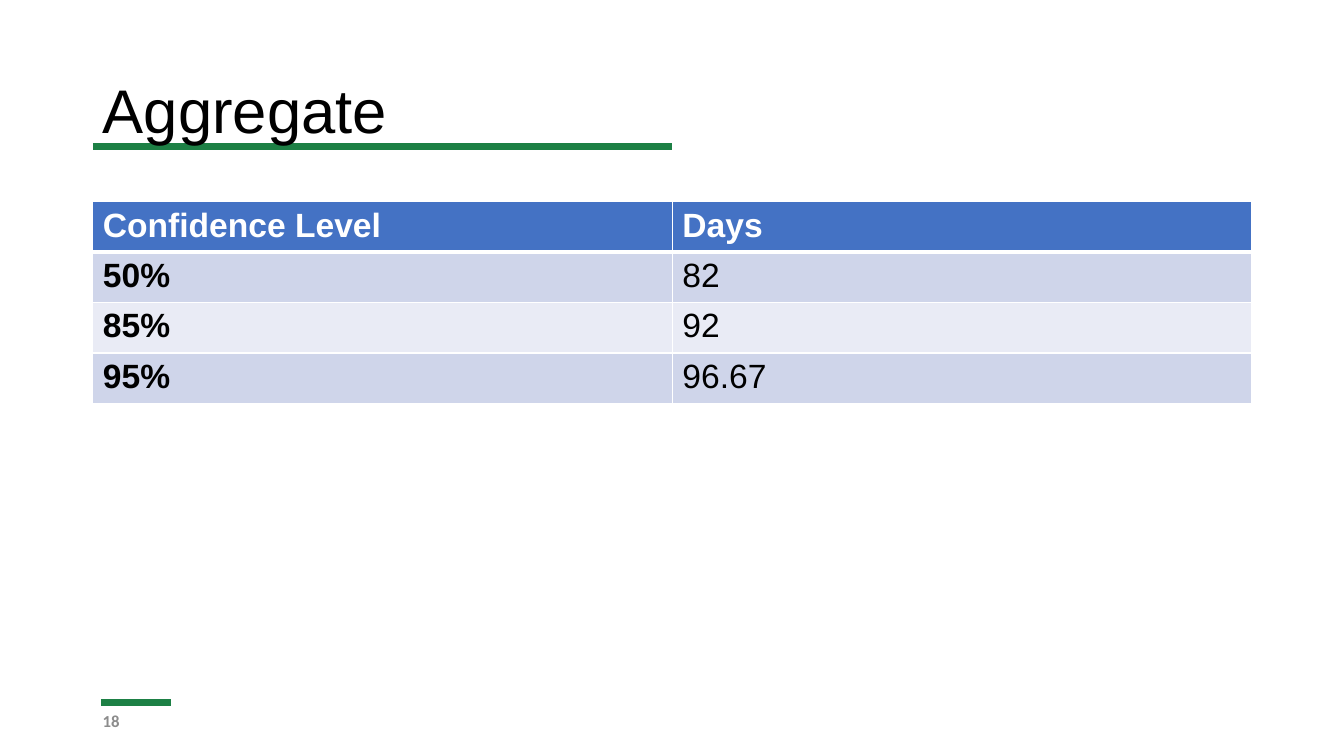
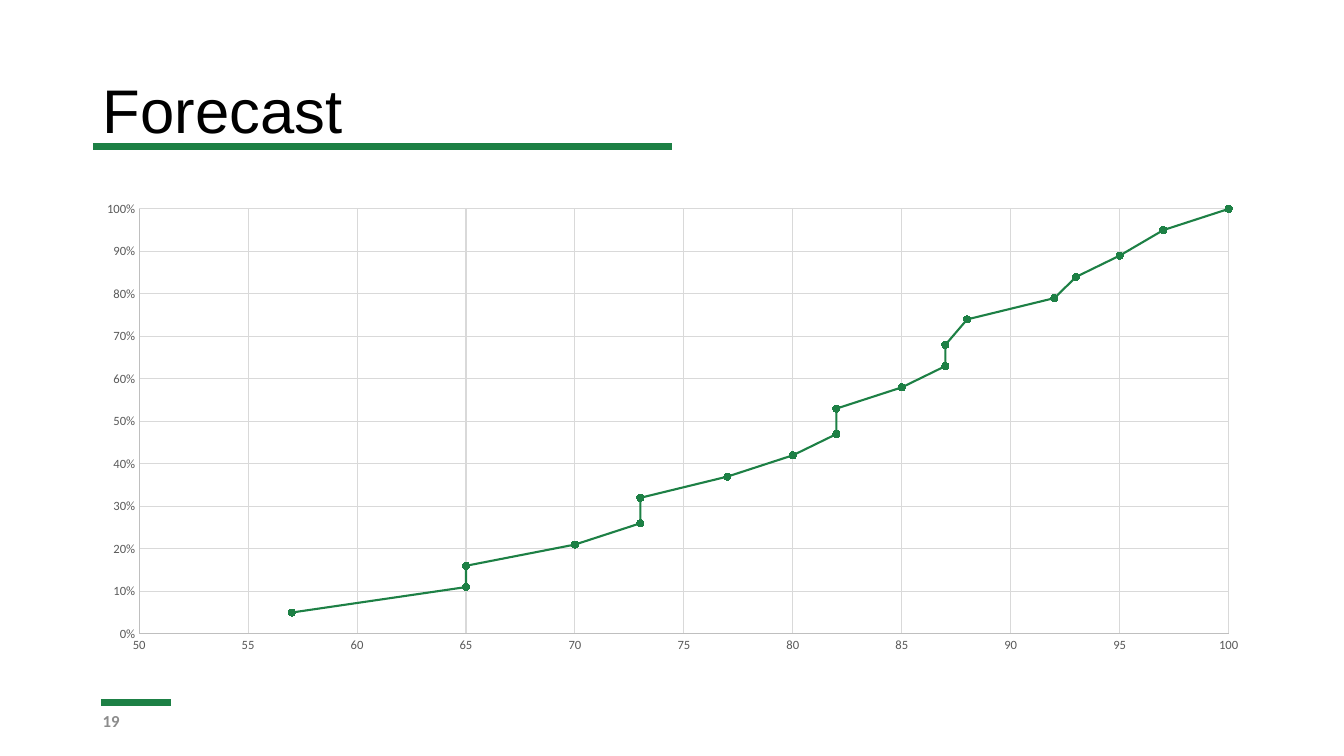
from lxml.etree import SubElement
from pptx import Presentation
from pptx.chart.data import XyChartData
from pptx.dml.color import RGBColor
from pptx.enum.chart import XL_CHART_TYPE, XL_MARKER_STYLE, XL_TICK_MARK
from pptx.enum.shapes import MSO_CONNECTOR
from pptx.enum.text import MSO_ANCHOR, MSO_AUTO_SIZE, PP_ALIGN
from pptx.oxml.ns import qn
from pptx.util import Cm, Pt

COLORS = {
    "accent": "1D8045", "text": "000000", "page": "8C8C8C", "white": "FFFFFF",
    "header": "4472C4", "band_dark": "CFD5EA", "band_light": "E9EBF5",
    "axis_text": "595959", "axis": "BFBFBF", "grid": "D9D9D9",
}
LEFT, WIDTH = 2.34, 29.21
TITLE_BOX = (LEFT, 1.02, WIDTH, 3.68)
PAGE_BOX = (LEFT, 17.65, 7.62, 1.02)
TABLE_BOX = (LEFT, 5.08, WIDTH, 4.16)
CHART_BOX = (LEFT, 4.09, WIDTH, 13.06)

LEVELS = [("Confidence Level", "Days"), ("50%", "82"), ("85%", "92"), ("95%", "96.67")]
DAYS = [57, 65, 65, 70, 73, 73, 77, 80, 82, 82, 85, 87, 87, 88, 92, 93, 95, 97, 100]


def rgb(name):
    return RGBColor.from_string(COLORS[name])


def cm_box(box):
    return [Cm(v) for v in box]


def style_font(font, size, color, name="Arial", bold=False):
    font.size, font.name, font.bold = Pt(size), name, bold
    font.color.rgb = rgb(color)


def add_run(p, text, *style, **options):
    r = p.add_run()
    r.text = text
    style_font(r.font, *style, **options)


def add_rule(s, x, y, length):
    """Accent line that lies behind the title."""
    line = s.shapes.add_connector(
        MSO_CONNECTOR.STRAIGHT, Cm(x), Cm(y), Cm(x + length), Cm(y))
    line.line.color.rgb = rgb("accent")
    line.line.width = Pt(5)
    SubElement(line.element.spPr, qn("a:effectLst"))
    s.shapes.title.element.addprevious(line.element)


def add_title(s, text, box):
    title = s.shapes.title
    title.left, title.top, title.width, title.height = cm_box(box)
    tf = title.text_frame
    tf.word_wrap = True
    tf.auto_size = MSO_AUTO_SIZE.NONE
    tf.vertical_anchor = MSO_ANCHOR.MIDDLE
    p = tf.paragraphs[0]
    p.alignment = PP_ALIGN.LEFT
    p.line_spacing = 0.9
    add_run(p, text, 44, "text")


def add_page_number(s, number, box):
    tf = s.shapes.add_textbox(*cm_box(box)).text_frame
    tf.word_wrap = True
    tf.vertical_anchor = MSO_ANCHOR.MIDDLE
    add_run(tf.paragraphs[0], str(number), 12, "page", name="Calibri", bold=True)


def add_slide(prs, title, number):
    s = prs.slides.add_slide(prs.slide_layouts[5])
    add_title(s, title, TITLE_BOX)
    add_rule(s, 2.54, 17.7, 1.78)
    add_rule(s, LEFT, 3.68, WIDTH / 2)
    add_page_number(s, number, PAGE_BOX)
    return s


def add_borders(cell, **widths):
    tc_pr = cell._tc.get_or_add_tcPr()
    for side, width in widths.items():
        ln = SubElement(tc_pr, qn(f"a:ln{side}"), w=str(Pt(width)))
        fill = SubElement(ln, qn("a:solidFill"))
        SubElement(fill, qn("a:srgbClr"), val=COLORS["white"])


def add_level_table(s, rows, box):
    table = s.shapes.add_table(len(rows), len(rows[0]), *cm_box(box)).table
    table.first_col = True
    for i, row in enumerate(rows):
        is_header = i == 0
        fill = "header" if is_header else "band_dark" if i % 2 else "band_light"
        for j, text in enumerate(row):
            cell = table.cell(i, j)
            add_borders(cell, L=1, R=1, T=3 if i == 1 else 1, B=3 if is_header else 1)
            cell.fill.solid()
            cell.fill.fore_color.rgb = rgb(fill)
            add_run(cell.text_frame.paragraphs[0], text, 24,
                    "white" if is_header else "text", bold=is_header or j == 0)


def style_axis(axis, low, high, step, number_format):
    axis.minimum_scale, axis.maximum_scale, axis.major_unit = low, high, step
    axis.major_tick_mark = axis.minor_tick_mark = XL_TICK_MARK.NONE
    axis.has_major_gridlines = True
    for line, color in ((axis.format.line, "axis"),
                        (axis.major_gridlines.format.line, "grid")):
        line.color.rgb = rgb(color)
        line.width = Pt(0.75)
    labels = axis.tick_labels
    labels.number_format = number_format
    labels.number_format_is_linked = False
    style_font(labels.font, 9, "axis_text", name="Calibri")


def set_plot_area(chart, x, y, w, h):
    """Fix the inner plot area as fractions of the chart."""
    plot_area = chart.plots[0]._element.getparent()
    for old in plot_area.findall(qn("c:layout")):
        plot_area.remove(old)
    layout = plot_area.makeelement(qn("c:layout"))
    plot_area.insert(0, layout)
    manual = SubElement(layout, qn("c:manualLayout"))
    settings = {"layoutTarget": "inner", "xMode": "edge", "yMode": "edge",
                "x": x, "y": y, "w": w, "h": h}
    for tag, value in settings.items():
        SubElement(manual, qn(f"c:{tag}"), val=str(value))


def add_forecast_chart(s, days, box):
    """Cumulative share of outcomes finished within each number of days."""
    data = XyChartData()
    points = data.add_series("Series 1")
    for rank, day in enumerate(days, 1):
        points.add_data_point(day, round(rank / len(days), 2))
    chart = s.shapes.add_chart(
        XL_CHART_TYPE.XY_SCATTER_SMOOTH, *cm_box(box), data).chart
    chart.has_legend = chart.has_title = False
    style_font(chart.font, 10, "text", name="Calibri")
    style_axis(chart.category_axis, 50, 100, 5, "0")
    style_axis(chart.value_axis, 0, 1, 0.1, "0%")
    set_plot_area(chart, 0.04, 0.09, 0.94, 0.82)

    plot = chart.plots[0]
    plot.vary_by_categories = False
    series = plot.series[0]
    series.smooth = True
    series.format.line.color.rgb = rgb("accent")
    series.format.line.width = Pt(1.5)
    marker = series.marker
    marker.style, marker.size = XL_MARKER_STYLE.CIRCLE, 5
    marker.format.fill.solid()
    marker.format.fill.fore_color.rgb = rgb("accent")
    marker.format.line.color.rgb = rgb("accent")


def main():
    prs = Presentation()
    prs.slide_width, prs.slide_height = Cm(33.87), Cm(19.05)
    add_level_table(add_slide(prs, "Aggregate", 18), LEVELS, TABLE_BOX)
    add_forecast_chart(add_slide(prs, "Forecast", 19), DAYS, CHART_BOX)
    prs.save("out.pptx")


if __name__ == "__main__":
    main()
